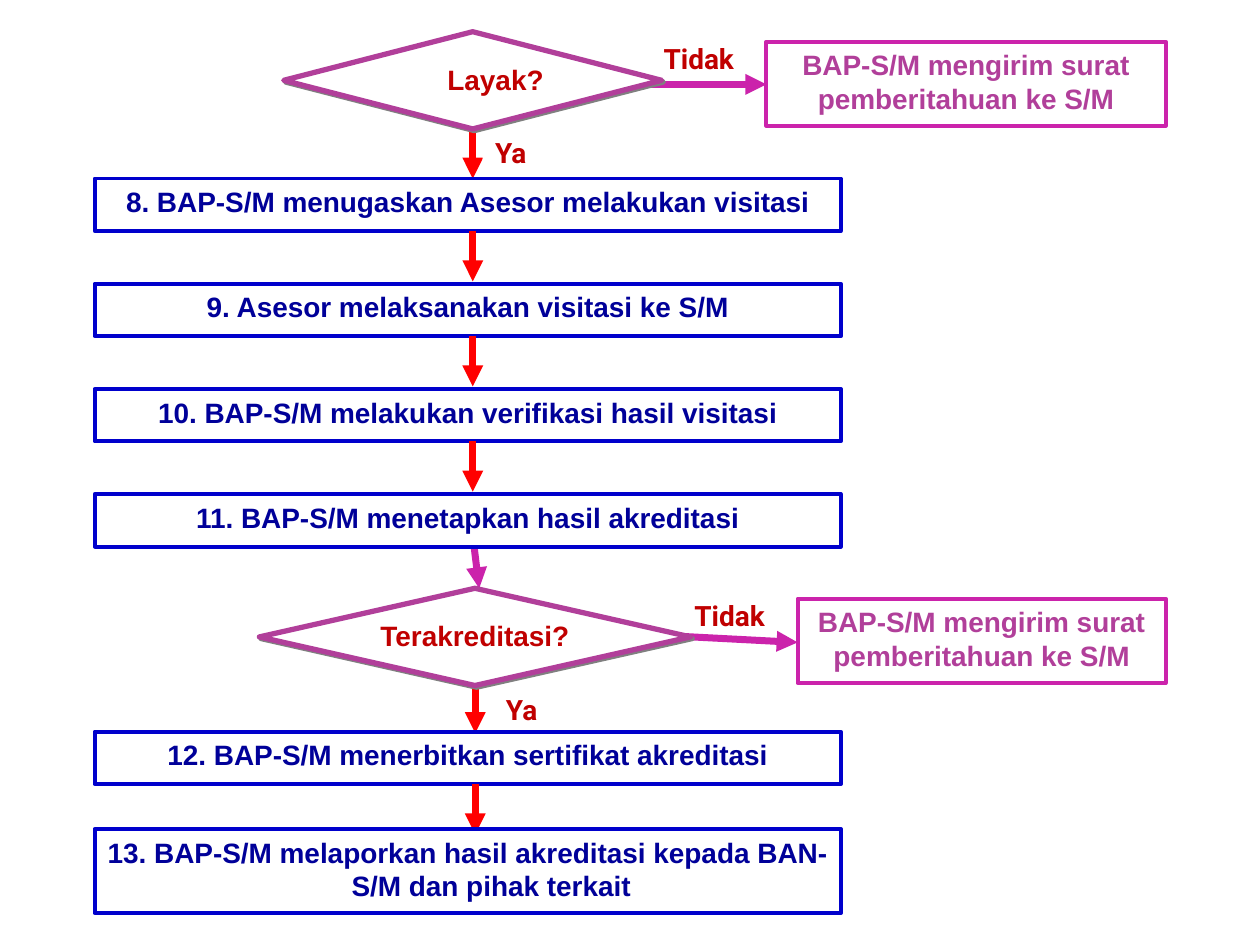
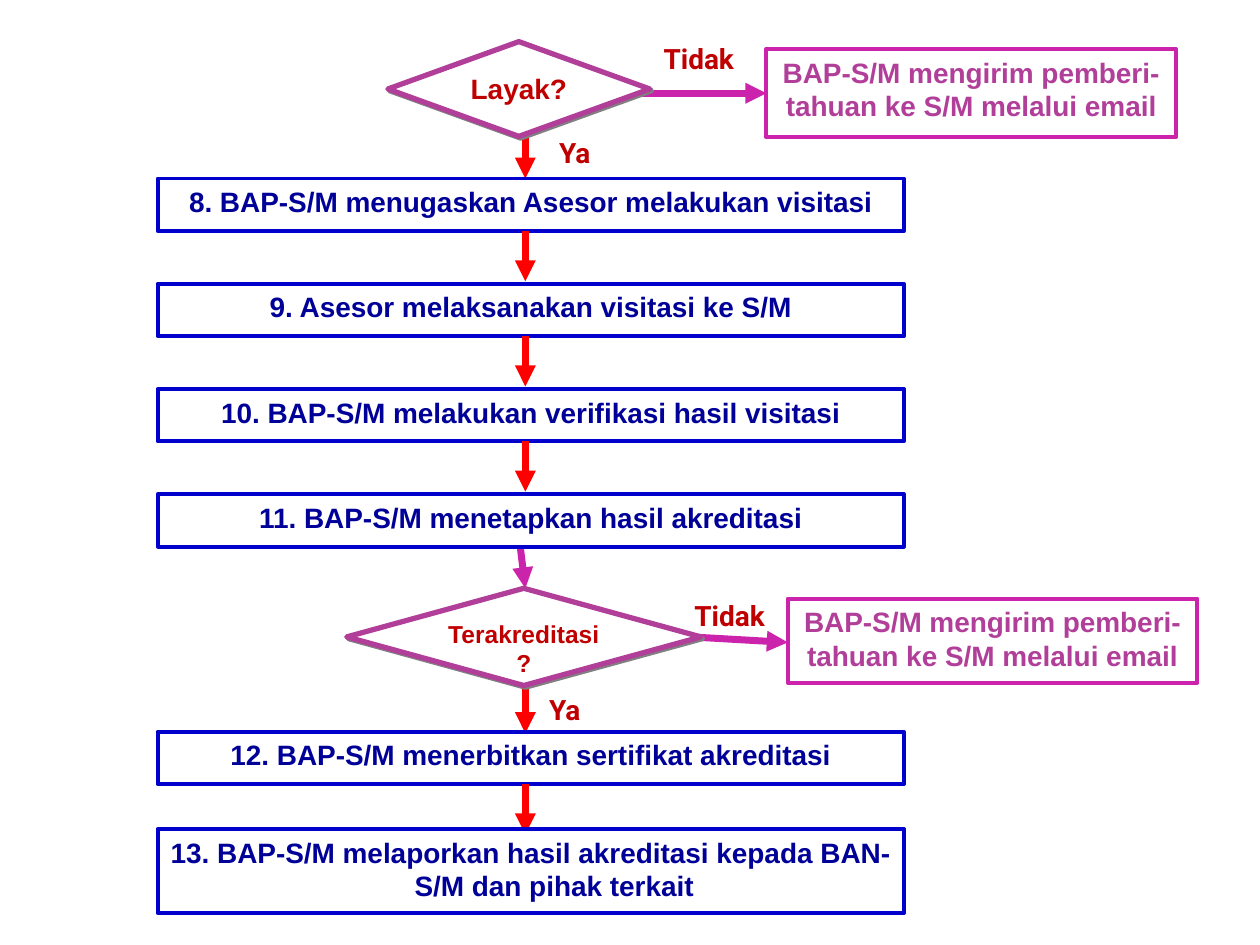
import lxml.etree
import pptx
import pptx.dml.color
import pptx.enum.shapes
import pptx.enum.text
import pptx.oxml.ns
import pptx.util

Cm = pptx.util.Cm
Pt = pptx.util.Pt
RGBColor = pptx.dml.color.RGBColor
SHAPE = pptx.enum.shapes.MSO_SHAPE
ALIGN = pptx.enum.text.PP_ALIGN
qn = pptx.oxml.ns.qn

WHITE = RGBColor(0xFF, 0xFF, 0xFF)
RED = RGBColor(0xFF, 0x00, 0x00)
DARK_RED = RGBColor(0xC0, 0x00, 0x00)
MAGENTA = RGBColor(0xCB, 0x23, 0xAB)
PURPLE = RGBColor(0xB1, 0x3F, 0x9A)
BLUE = RGBColor(0x00, 0x00, 0xCC)
NAVY = RGBColor(0x00, 0x00, 0x99)
SHADOW_HEX = "808080"

STEP_W, STEP_H, TALL_H = 15.04, 1.06, 1.7
STEP_TOP, STEP_PITCH, ARROW_LEN = 3.6, 2.12, 1.01
CERTIFICATE_TOP, REPORT_TOP = 14.75, 16.71

VISIT_STEPS = [
    "8. BAP-S/M menugaskan Asesor melakukan visitasi",
    "9. Asesor melaksanakan visitasi ke S/M",
    "10. BAP-S/M melakukan verifikasi hasil visitasi",
    "11. BAP-S/M menetapkan hasil akreditasi",
]
CERTIFICATE_STEP = "12. BAP-S/M menerbitkan sertifikat akreditasi"
REPORT_STEP = "13. BAP-S/M melaporkan hasil akreditasi kepada BAN-S/M dan pihak terkait"
LETTER = "BAP-S/M mengirim surat pemberitahuan ke S/M"
EMAIL = "BAP-S/M mengirim pemberi-tahuan ke S/M melalui email"


class Flowchart:
    """Holds the presentation, its flowchart style and the current slide."""

    def __init__(self):
        self.prs = pptx.Presentation()
        self.prs.slide_width, self.prs.slide_height = Cm(25.4), Cm(19.05)

    def new_slide(self):
        self.s = self.prs.slides.add_slide(self.prs.slide_layouts[6])

    def shape(self, kind, box, text, color, line=None, width=2.25,
              align=ALIGN.CENTER, name="Arial", size=16, **para):
        sp = self.s.shapes.add_shape(kind, *map(Cm, box))
        sp.shadow.inherit = False
        sp.fill.solid()
        sp.fill.fore_color.rgb = WHITE
        if line is None:
            sp.line.fill.background()
        else:
            sp.line.color.rgb = line
            sp.line.width = Pt(width)
        tf = sp.text_frame
        tf.word_wrap = True
        tf.vertical_anchor = pptx.enum.text.MSO_ANCHOR.TOP
        p = tf.paragraphs[0]
        for key, value in dict(para, alignment=align).items():
            setattr(p, key, value)
        r = p.add_run()
        r.text = text
        for key, value in dict(name=name, size=Pt(size), bold=True).items():
            setattr(r.font, key, value)
        r.font.color.rgb = color
        return sp

    def step(self, left, top, text, height=STEP_H):
        sp = self.shape(SHAPE.RECTANGLE, (left, top, STEP_W, height), text, NAVY, BLUE)
        pPr = sp.text_frame.paragraphs[0]._p.get_or_add_pPr()
        for key, value in dict(marL=Cm(0.95), indent=Cm(-0.95)).items():
            pPr.set(key, str(value))

    def notice(self, box, text):
        self.shape(SHAPE.RECTANGLE, box, text, PURPLE, MAGENTA)

    def label(self, box, text, align=ALIGN.LEFT):
        self.shape(SHAPE.RECTANGLE, box, text, DARK_RED, align=align,
                   name="Roboto", line_spacing=0.8)

    def decision(self, box, text, size=16, shift=0):
        """Diamond with a hard shadow; shift moves its text to the right."""
        sp = self.shape(SHAPE.DIAMOND, box, text, DARK_RED, PURPLE, 3, size=size)
        sp.text_frame.margin_left = Cm(0.25 + 2 * shift)
        effects = sp._element.spPr.find(qn("a:effectLst"))
        shadow = lxml.etree.SubElement(effects, qn("a:outerShdw"), dist=str(Pt(1.4)),
                                       dir="2700000", algn="ctr", rotWithShape="0")
        lxml.etree.SubElement(shadow, qn("a:srgbClr"), val=SHADOW_HEX)

    def arrow(self, x1, y1, x2, y2, color=RED):
        c = self.s.shapes.add_connector(pptx.enum.shapes.MSO_CONNECTOR.STRAIGHT,
                                        *map(Cm, (x1, y1, x2, y2)))
        c.line.color.rgb = color
        c.line.width = Pt(4)
        lxml.etree.SubElement(c.line._get_or_add_ln(), qn("a:tailEnd"), type="triangle")
        lxml.etree.SubElement(c._element.spPr, qn("a:effectLst"))

    def down(self, x, top, length=ARROW_LEN):
        self.arrow(x, top, x, top + length)

    def accreditation(self, left, axis, axis2, bend, eligible, accredited):
        """One slide: steps 8 to 13 with two decisions between them."""
        self.new_slide()
        self.down(axis2, 13.77)
        self.arrow(bend, 10.8, bend + 0.13, 11.86, MAGENTA)
        self.down(axis, 2.59)
        for i, text in enumerate(VISIT_STEPS):
            top = STEP_TOP + i * STEP_PITCH
            self.step(left, top, text)
            if text != VISIT_STEPS[-1]:
                self.down(axis, top + STEP_H)
        self.step(left, CERTIFICATE_TOP, CERTIFICATE_STEP)
        self.down(axis2, CERTIFICATE_TOP + STEP_H)
        self.step(left, REPORT_TOP, REPORT_STEP, TALL_H)

        self.label((13.13, 0.84, 2.34, 0.43), "Tidak")
        self.label((13.54, 12.07, 2.34, 0.64), "Tidak", ALIGN.CENTER)
        for branch, yes_top in ((eligible, 2.74), (accredited, 13.97)):
            self.arrow(*branch["no"], MAGENTA)
            self.notice(*branch["notice"])
            self.label((branch["yes"], yes_top, 1.24, 0.64), "Ya")
            self.decision(**branch["decision"])


def main():
    fc = Flowchart()
    fc.accreditation(
        left=1.91, axis=9.53, axis2=9.58, bend=9.53,
        eligible=dict(
            no=(12.85, 1.7, 15.45, 1.7), yes=9.73,
            notice=((15.45, 0.84, 8.05, TALL_H), LETTER),
            decision=dict(box=(5.72, 0.64, 7.62, 1.96), text="Layak?", shift=0.46)),
        accredited=dict(
            no=(13.77, 12.83, 16.08, 12.95), yes=9.95,
            notice=((16.08, 12.07, 7.42, TALL_H), LETTER),
            decision=dict(box=(5.23, 11.86, 8.69, 1.96), text="Terakreditasi?")))
    fc.accreditation(
        left=3.18, axis=10.59, axis2=10.59, bend=10.46,
        eligible=dict(
            no=(12.85, 1.88, 15.45, 1.88), yes=11.02,
            notice=((15.45, 0.99, 8.26, 1.78), EMAIL),
            decision=dict(box=(7.82, 0.84, 5.28, 1.91), text="Layak?")),
        accredited=dict(
            no=(13.77, 12.83, 15.88, 12.95), yes=10.82,
            notice=((15.88, 12.07, 8.26, TALL_H), EMAIL),
            decision=dict(box=(6.99, 11.86, 7.14, 1.96), text="Terakreditasi?", size=14)))
    fc.prs.save("out.pptx")


if __name__ == "__main__":
    main()
